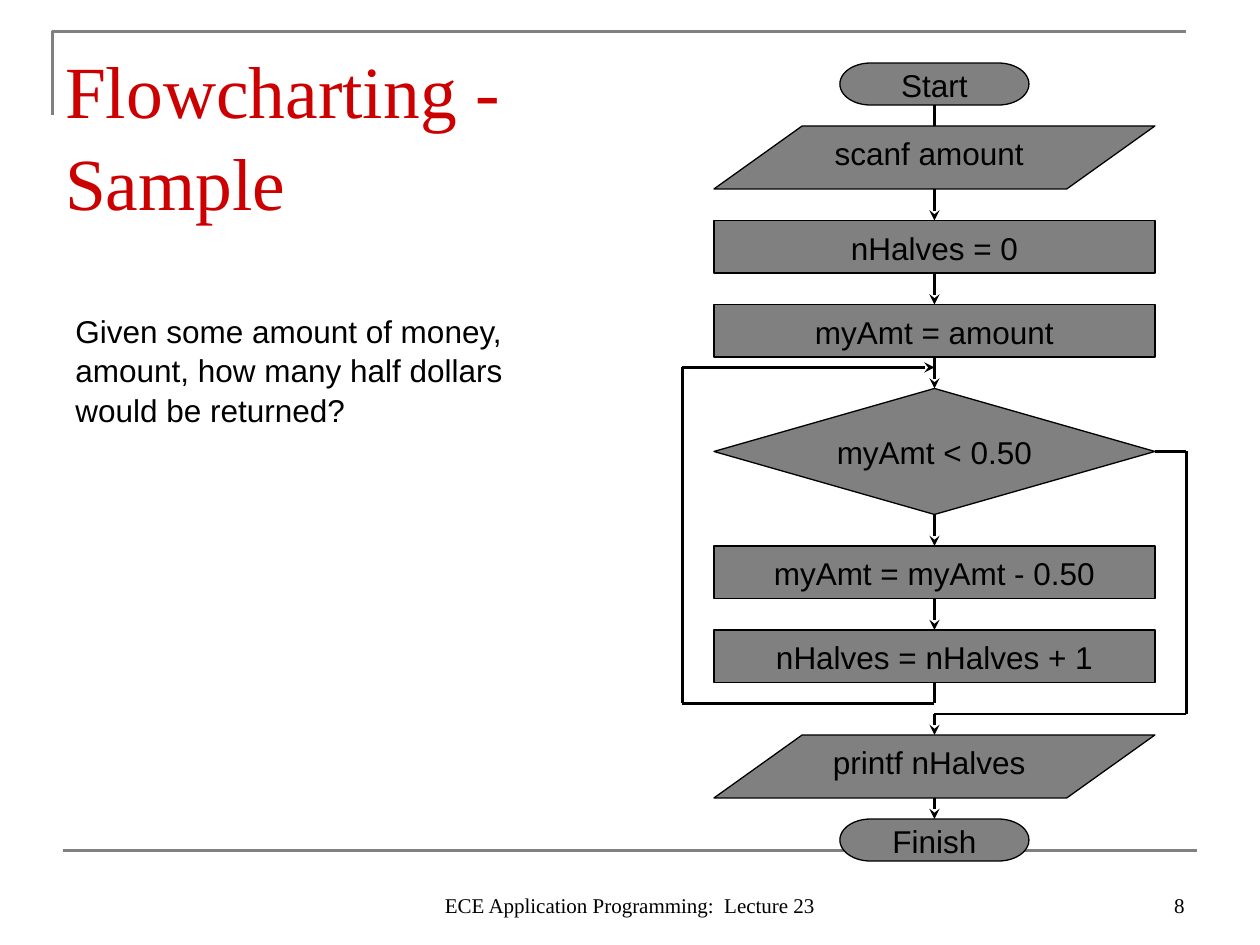
"""Build the half-dollar flowchart slide on a grid of twelfths of an inch."""
from itertools import pairwise

from lxml import etree
from pptx import Presentation, util as u
from pptx.dml.color import RGBColor
from pptx.enum import shapes as s, text as t
from pptx.oxml import ns

BLACK = RGBColor(0, 0, 0)
GRAY = RGBColor(0x80, 0x80, 0x80)
RED = RGBColor(0xCC, 0, 0)
BODY = {"name": "Arial", "size": u.Pt(18)}
FOOTER = {"name": "Times New Roman", "size": u.Pt(12)}
HEADING = {"name": "Times New Roman", "size": u.Pt(42)}
LEFT, CENTER, RIGHT = t.PP_ALIGN.LEFT, t.PP_ALIGN.CENTER, t.PP_ALIGN.RIGHT
MIDDLE, BOTTOM = t.MSO_ANCHOR.MIDDLE, t.MSO_ANCHOR.BOTTOM
TOP_SITE, BOTTOM_SITE, RIGHT_SITE = 0, 2, 3
AXIS, WIDE, NARROW = 89, 42, 18
LOOP_LEFT, LOOP_RIGHT = 65, 113


def grid(*cells):
    """Convert grid cells to lengths."""
    return [u.Inches(cell / 12) for cell in cells]


def set_text(shape, words, font, align=LEFT, anchor=t.MSO_ANCHOR.TOP, wrap=True, color=BLACK):
    """Write one formatted paragraph into a shape."""
    frame = shape.text_frame
    frame.word_wrap = wrap
    frame.vertical_anchor = anchor
    frame.text = words
    paragraph = frame.paragraphs[0]
    paragraph.alignment = align
    paragraph.line_spacing = 1.04
    for name, value in font.items():
        setattr(paragraph.font, name, value)
    paragraph.font.color.rgb = color


def add_text(shapes, cells, words, font, **options):
    """Add a text box."""
    set_text(shapes.add_textbox(*grid(*cells)), words, font, **options)


def add_block(shapes, kind, top, width, height):
    """Add a gray flowchart symbol centred on the axis."""
    block = shapes.add_shape(kind, *grid(AXIS - width / 2, top, width, height))
    block.shadow.inherit = False
    block.fill.solid()
    block.fill.fore_color.rgb = GRAY
    block.line.color.rgb = BLACK
    block.line.width = u.Pt(0.75)
    return block


def add_step(shapes, words, kind, top, width, height):
    """Add a labelled flowchart symbol."""
    block = add_block(shapes, kind, top, width, height)
    set_text(block, words, BODY, align=CENTER, anchor=MIDDLE, wrap=False)
    return block


def add_data(shapes, words, top):
    """Add an input or output symbol grouped with its label."""
    members = shapes.add_group_shape().shapes
    add_block(members, s.MSO_SHAPE.FLOWCHART_DATA, top, WIDE, 6)
    add_text(members, (AXIS - WIDE / 2, top, WIDE - 1, 4.8), words, BODY, align=CENTER)


def add_line(shapes, start, end, color=BLACK, width=1.25, arrow=False):
    """Add a straight line, with an arrowhead at its end if asked."""
    line = shapes.add_connector(s.MSO_CONNECTOR.STRAIGHT, *grid(*start, *end))
    line.line.color.rgb = color
    line.line.width = u.Pt(width)
    if arrow:
        etree.SubElement(line.line._get_or_add_ln(), ns.qn("a:tailEnd"), type="stealth")
    etree.SubElement(line._element.spPr, ns.qn("a:effectLst"))
    return line


def add_route(shapes, points, source, site):
    """Add a bent route from a symbol, ending in an arrowhead."""
    legs = list(pairwise(points))
    lines = [add_line(shapes, *leg, arrow=leg == legs[-1]) for leg in legs]
    lines[0].begin_connect(source, site)


def add_arrow(shapes, top, bottom, upper=None, lower=None):
    """Add a downward arrow joined to the symbols given."""
    line = add_line(shapes, (AXIS, top), (AXIS, bottom), arrow=True)
    if upper is not None:
        line.begin_connect(upper, BOTTOM_SITE)
    if lower is not None:
        line.end_connect(lower, TOP_SITE)


def add_frame(shapes):
    """Add the gray corner and the footer rule."""
    builder = shapes.build_freeform(*grid(5, 11))
    builder.add_line_segments([grid(5, 3), grid(113, 3)], close=False)
    corner = builder.convert_to_shape()
    corner.shadow.inherit = False
    corner.fill.background()
    corner.line.color.rgb = GRAY
    corner.line.width = u.Pt(1.5)
    add_line(shapes, (6, 81), (114, 81), GRAY, 1.5)


def add_title(shapes, words):
    """Place and format the title."""
    title = shapes.title
    title.left, title.top, title.width, title.height = grid(5, 3, 57, 16)
    set_text(title, words, HEADING, color=RED)
    title.text_frame.auto_size = t.MSO_AUTO_SIZE.NONE
    title.text_frame.margin_top = u.Inches(0.08)


def add_flowchart(shapes):
    """Add the symbols and the flow between them."""
    process, terminator = s.MSO_SHAPE.FLOWCHART_PROCESS, s.MSO_SHAPE.FLOWCHART_TERMINATOR
    start = add_step(shapes, "Start", terminator, 6, NARROW, 4)
    reset, copy_amount, subtract, count = [
        add_step(shapes, words, process, top, WIDE, 5)
        for words, top in (("nHalves = 0", 21), ("myAmt = amount", 29),
                           ("myAmt = myAmt - 0.50", 52), ("nHalves = nHalves + 1", 60))]
    decision = add_step(shapes, "myAmt < 0.50", s.MSO_SHAPE.FLOWCHART_DECISION, 37, WIDE, 12)
    for arrow in ((10, 13, start), (18, 21, None, reset), (26, 29, reset, copy_amount),
                  (34, 37, copy_amount, decision), (49, 52, decision, subtract),
                  (57, 60, subtract, count)):
        add_arrow(shapes, *arrow)
    add_route(shapes, [(AXIS, 65), (AXIS, 67), (LOOP_LEFT, 67), (LOOP_LEFT, 35), (AXIS, 35)],
              count, BOTTOM_SITE)
    add_route(shapes, [(110, 43), (LOOP_RIGHT, 43), (LOOP_RIGHT, 68), (AXIS, 68), (AXIS, 70)],
              decision, RIGHT_SITE)
    finish = add_step(shapes, "Finish", terminator, 78, NARROW, 4)
    add_arrow(shapes, 75, 78, lower=finish)
    add_data(shapes, "scanf amount", 12)
    add_data(shapes, "printf nHalves", 70)


def main():
    """Build and save the slide."""
    presentation = Presentation()
    presentation.slide_width, presentation.slide_height = grid(120, 90)
    shapes = presentation.slides.add_slide(presentation.slide_layouts[5]).shapes
    add_frame(shapes)
    add_title(shapes, "Flowcharting - Sample")
    add_text(shapes, (6, 29, 48, 12),
             "Given some amount of money, amount, how many half dollars would be returned?", BODY)
    add_flowchart(shapes)
    add_text(shapes, (86, 82, 28, 6), "8", FOOTER, align=RIGHT, anchor=BOTTOM)
    add_text(shapes, (41, 82, 38, 6), "ECE Application Programming:  Lecture 23", FOOTER,
             align=CENTER, anchor=BOTTOM)
    presentation.save("out.pptx")


if __name__ == "__main__":
    main()
